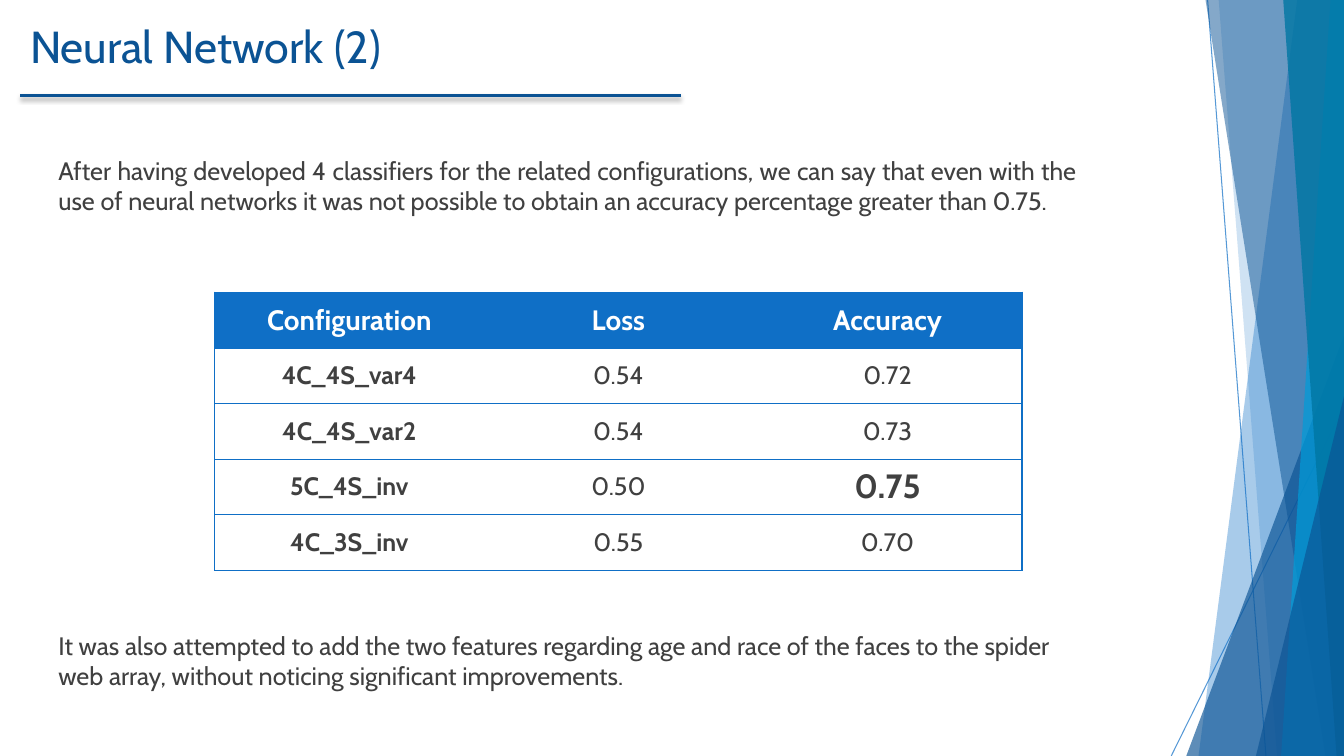
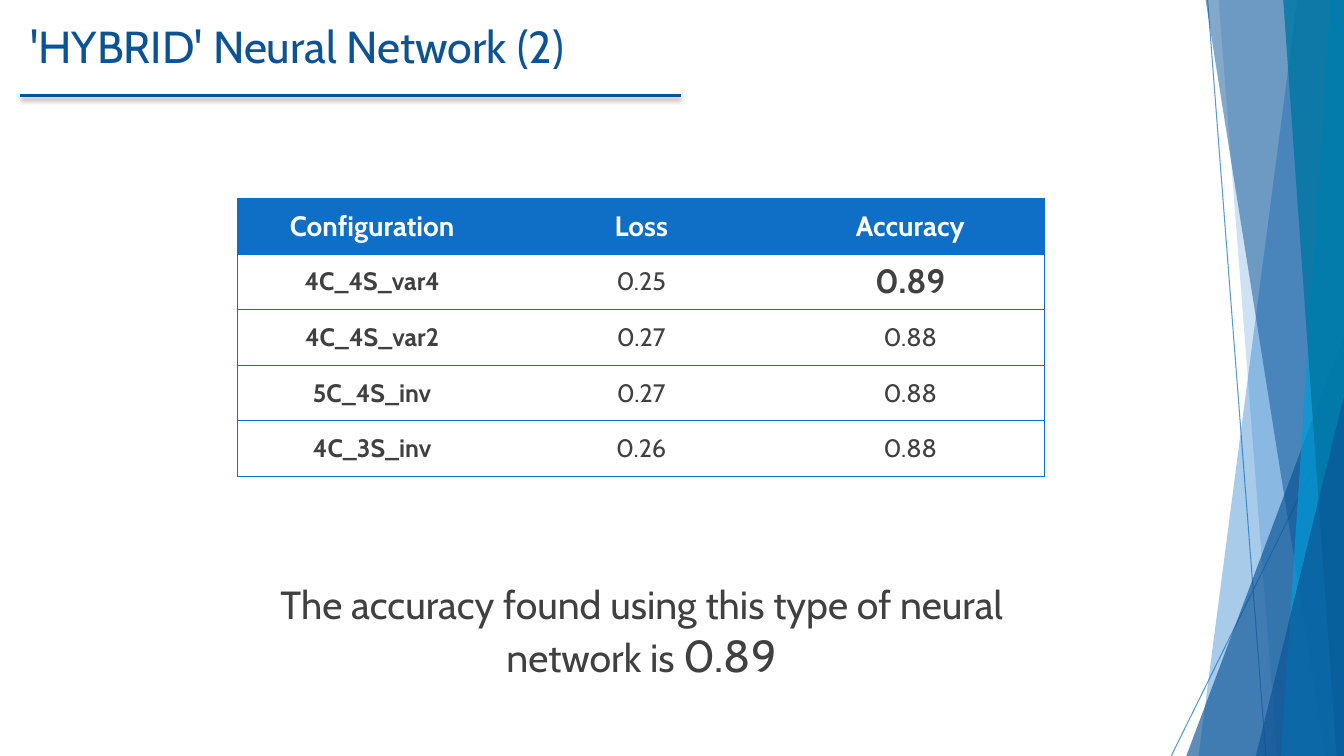
"""Builds two slides that report neural network results in tables."""
from dataclasses import dataclass

from pptx import Presentation
from pptx.dml.color import RGBColor
from pptx.enum import shapes, text
from pptx.oxml import parse_xml
from pptx.oxml.ns import nsdecls, qn
from pptx.util import Pt


@dataclass(frozen=True)
class Theme:
    font: str = "Cabin"
    navy: str = "0B5394"
    blue: str = "0F6FC6"
    sky: str = "009DD9"
    teal: str = "0076A3"
    ink: str = "404040"
    white: str = "FFFFFF"
    title: int = 32
    header: int = 20
    body: int = 18
    best: int = 24
    closing: int = 28


THEME = Theme()
WIDTH, HEIGHT = 960, 540
COLUMN_WIDTH, ROW_HEIGHT = 192.24, 39.74
LEFT, CENTER, JUSTIFY = text.PP_ALIGN.LEFT, text.PP_ALIGN.CENTER, text.PP_ALIGN.JUSTIFY

HEADINGS = ("Configuration", "Loss", "Accuracy")
SLIDES = [
    {
        "title": "Neural Network (2)",
        "table_at": (153.4, 208.8),
        "results": [
            ("4C_4S_var4", "0.54", "0.72"),
            ("4C_4S_var2", "0.54", "0.73"),
            ("5C_4S_inv", "0.50", "0.75"),
            ("4C_3S_inv", "0.55", "0.70"),
        ],
        "remarks": [
            ((34.6, 107.3, 741.6, 154.8), JUSTIFY, [(
                "After having developed 4 classifiers for the related configurations, "
                "we can say that even with the use of neural networks it was not possible "
                "to obtain an accuracy percentage greater than 0.75.", THEME.body)]),
            ((34.6, 446.4, 741.6, 51.1), LEFT, [(
                "It was also attempted to add the two features regarding age and race of "
                "the faces to the spider web array, without noticing significant "
                "improvements.", THEME.body)]),
        ],
    },
    {
        "title": "'HYBRID' Neural Network (2)",
        "table_at": (169.7, 141.8),
        "results": [
            ("4C_4S_var4", "0.25", "0.89"),
            ("4C_4S_var2", "0.27", "0.88"),
            ("5C_4S_inv", "0.27", "0.88"),
            ("4C_3S_inv", "0.26", "0.88"),
        ],
        "remarks": [
            ((152.6, 411.1, 611.3, 79.9), CENTER, [
                ("The accuracy found using this type of neural network is ", THEME.closing),
                ("0.89", THEME.title)]),
        ],
    },
]

HAIRLINES = [(862.6, 0, 904.3, HEIGHT), (WIDTH, 290.2, 836.6, HEIGHT)]
FACETS = [
    ("band", 926.6, 856.1, THEME.blue, 36),
    ("band", 870.5, 912.2, THEME.blue, 20),
    ("wedge", 847.4, 239.8, THEME.navy, 66),
    ("band", 861.1, 946.8, THEME.navy, 50),
    ("band", 950.4, 915.1, THEME.sky, 70),
    ("band", 916.6, 954.7, THEME.teal, 80),
    ("wedge", 897.1, 283, THEME.navy, 66),
]


def points(*lengths):
    return [Pt(length) for length in lengths]


def rgb(color):
    return RGBColor.from_string(color)


def set_opacity(part, percent):
    for color in part.element.spPr.iter(qn("a:srgbClr")):
        color.append(parse_xml(f'<a:alpha {nsdecls("a")} val="{percent * 1000}"/>'))


def add_rule(slide, ends, color, width, effect=""):
    rule = slide.shapes.add_connector(shapes.MSO_CONNECTOR.STRAIGHT, *points(*ends))
    rule.line.color.rgb = rgb(color)
    rule.line.width = Pt(width)
    rule.element.spPr.append(
        parse_xml(f'<a:effectLst {nsdecls("a")}>{effect}</a:effectLst>'))
    return rule


def add_facet(slide, kind, first, second, color, opacity):
    if kind == "band":
        outline = slide.shapes.build_freeform(Pt(first), 0)
        corners = [(WIDTH, 0), (WIDTH, HEIGHT), (second, HEIGHT)]
        outline.add_line_segments([points(*corner) for corner in corners], close=True)
        facet = outline.convert_to_shape()
    else:
        facet = slide.shapes.add_shape(
            shapes.MSO_SHAPE.ISOSCELES_TRIANGLE,
            *points(first, second, WIDTH - first, HEIGHT - second))
        facet.adjustments[0] = 1
    facet.shadow.inherit = False
    facet.fill.solid()
    facet.fill.fore_color.rgb = rgb(color)
    facet.line.fill.background()
    set_opacity(facet, opacity)


def add_backdrop(slide):
    for ends in HAIRLINES:
        set_opacity(add_rule(slide, ends, THEME.blue, 0.75), 70)
    for facet in FACETS:
        add_facet(slide, *facet)


def style(font, color, size=None, bold=None):
    font.name = THEME.font
    font.color.rgb = rgb(color)
    font.bold = bold
    if size:
        font.size = Pt(size)


def add_text(slide, place, align, pieces, color):
    frame = slide.shapes.add_textbox(*points(*place)).text_frame
    frame.word_wrap = True
    paragraph = frame.paragraphs[0]
    paragraph.alignment = align
    style(paragraph.font, color, pieces[0][1] if len(pieces) == 1 else None)
    for words, size in pieces:
        run = paragraph.add_run()
        run.text = words
        if len(pieces) > 1:
            run.font.size = Pt(size)


def add_title(slide, title):
    add_text(slide, (14.4, 10.1, 543.6, 60.5), LEFT, [(title, THEME.title)], THEME.navy)
    shadow = (f'<a:outerShdw blurRad="{Pt(3)}" dist="{Pt(2)}" dir="5400000">'
              '<a:srgbClr val="000000"><a:alpha val="35000"/></a:srgbClr></a:outerShdw>')
    add_rule(slide, (14.4, 68.4, 486.7, 68.4), THEME.navy, 2, shadow)


def set_borders(cell, visible):
    for index, side in enumerate("LRTB"):
        fill = (f'<a:solidFill><a:srgbClr val="{THEME.blue}"/></a:solidFill>'
                if side in visible else "<a:noFill/>")
        border = parse_xml(f'<a:ln{side} {nsdecls("a")} w="{Pt(1)}">{fill}</a:ln{side}>')
        cell._tc.get_or_add_tcPr().insert(index, border)


def add_results(slide, place, results):
    rows = [HEADINGS, *results]
    best = max(accuracy for _, _, accuracy in results)
    size = COLUMN_WIDTH * len(HEADINGS), ROW_HEIGHT * len(rows)
    table = slide.shapes.add_table(
        len(rows), len(HEADINGS), *points(*place, *size)).table
    table.first_row = table.horz_banding = False
    for row, values in enumerate(rows):
        for column, value in enumerate(values):
            cell = table.cell(row, column)
            cell.text = value
            cell.vertical_anchor = text.MSO_ANCHOR.MIDDLE
            cell.margin_left = cell.margin_right = Pt(5)
            cell.margin_top = cell.margin_bottom = 0
            cell.fill.solid()
            cell.fill.fore_color.rgb = rgb(THEME.white if row else THEME.blue)
            set_borders(cell, "TB" + {0: "L", len(values) - 1: "R"}.get(column, ""))
            paragraph = cell.text_frame.paragraphs[0]
            paragraph.alignment = CENTER
            is_best = column == 2 and value == best
            letters = THEME.best if is_best else THEME.body if row else THEME.header
            style(paragraph.font, THEME.ink if row else THEME.white, letters,
                  row == 0 or column == 0 or is_best)


def main():
    deck = Presentation()
    deck.slide_width, deck.slide_height = points(WIDTH, HEIGHT)
    for content in SLIDES:
        slide = deck.slides.add_slide(deck.slide_layouts[6])
        add_backdrop(slide)
        add_title(slide, content["title"])
        add_results(slide, content["table_at"], content["results"])
        for place, align, pieces in content["remarks"]:
            add_text(slide, place, align, pieces, THEME.ink)
    deck.save("out.pptx")


if __name__ == "__main__":
    main()
